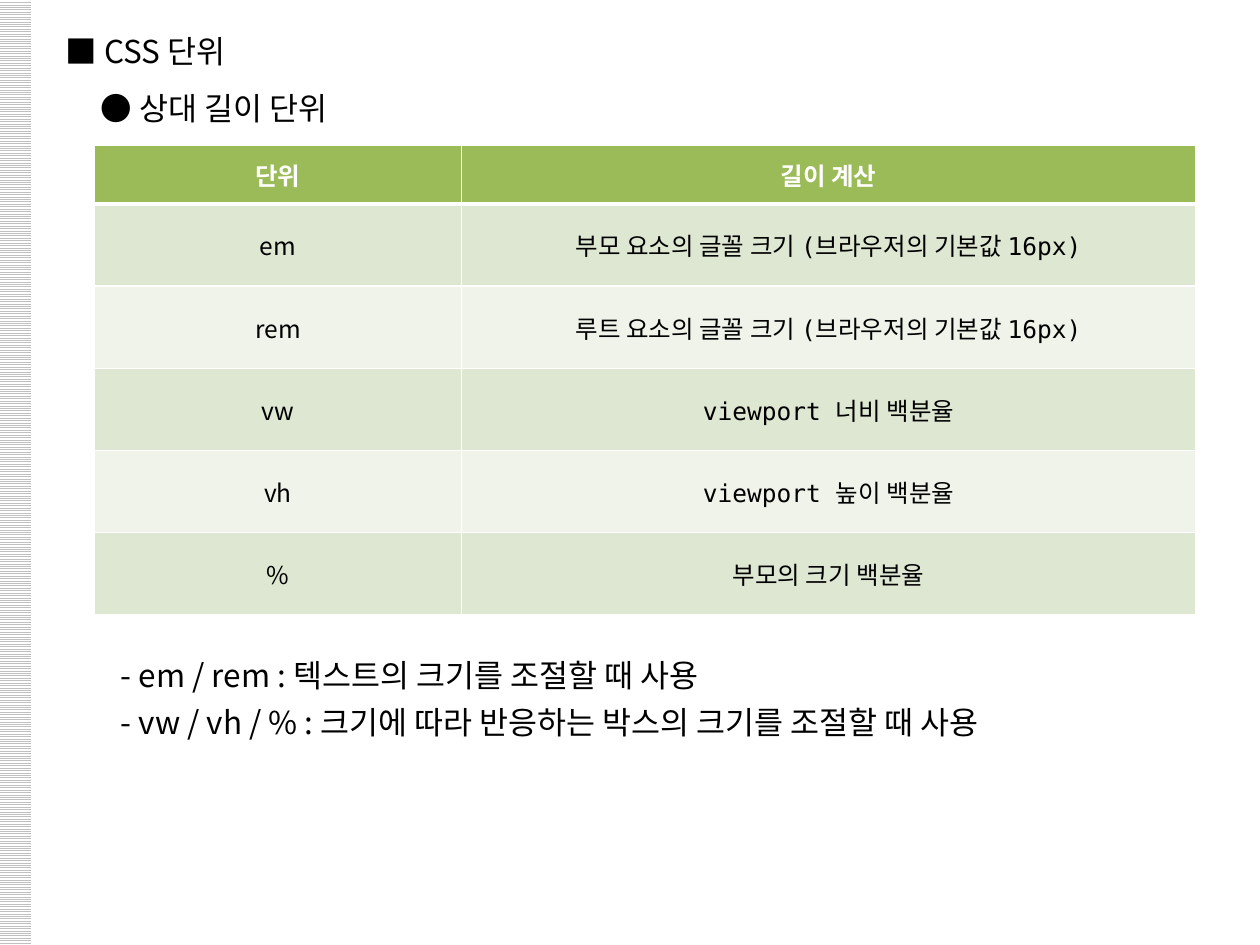
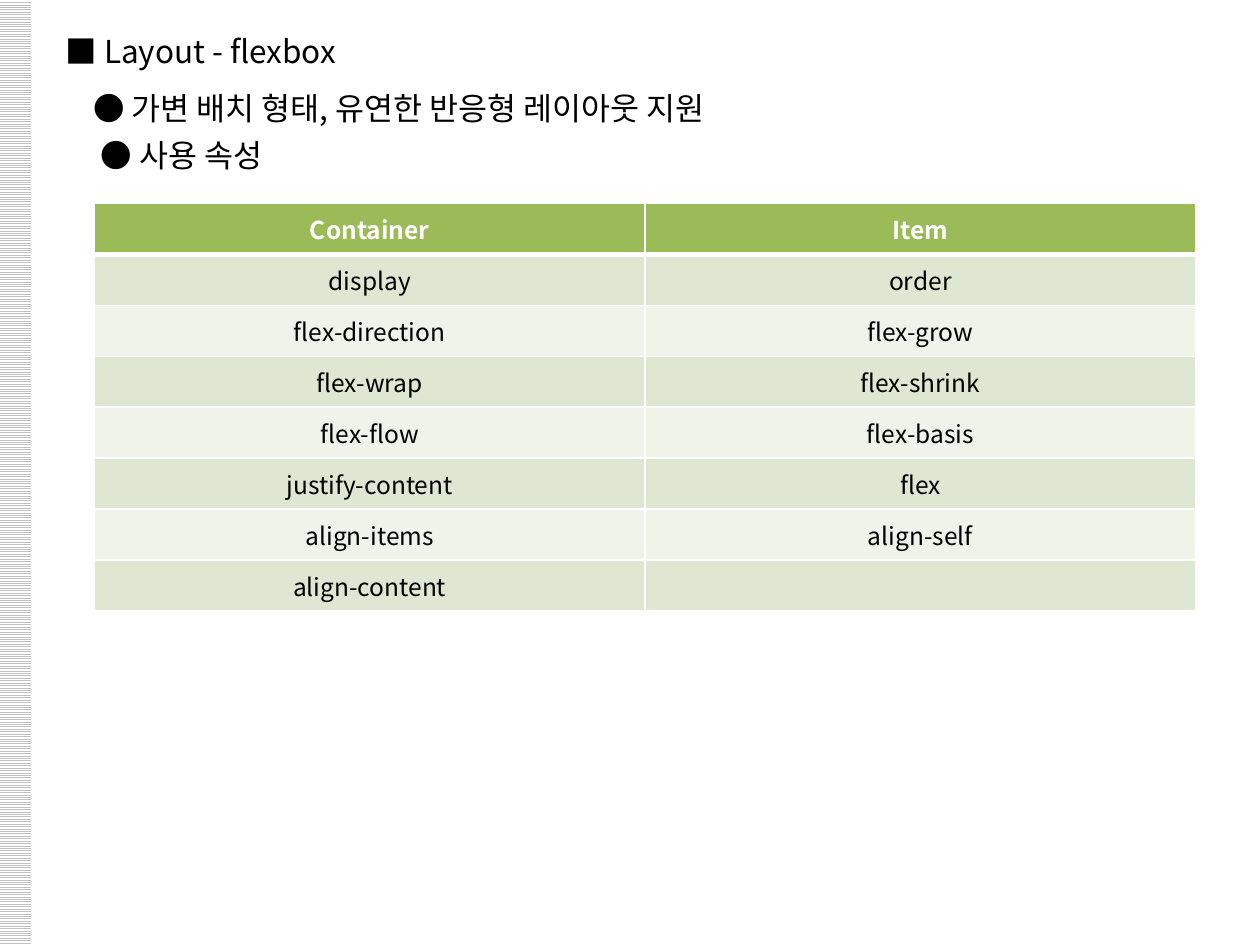
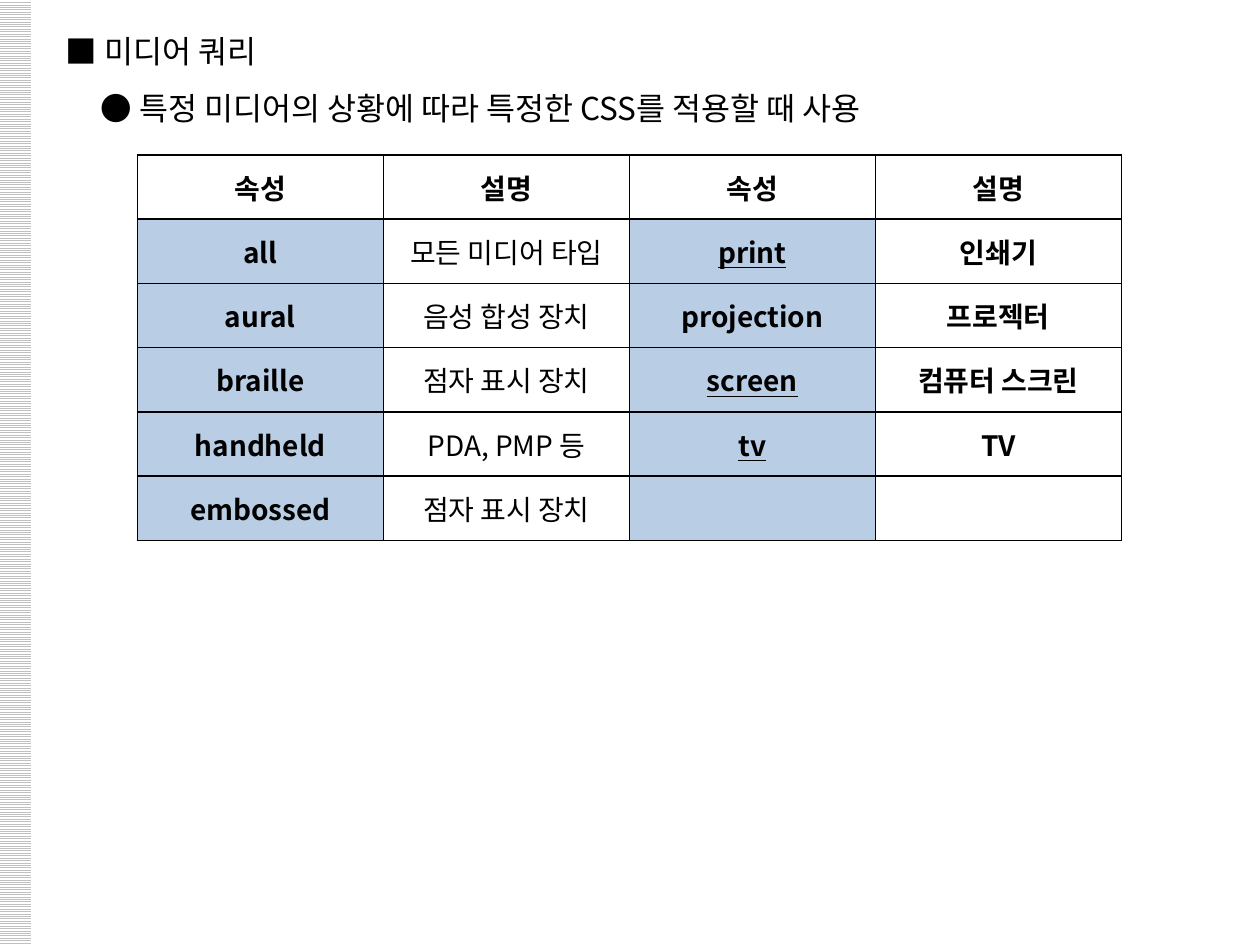
"""Build three slides on CSS units, flexbox and media queries."""
from dataclasses import dataclass
from typing import Any, Callable, Optional

from lxml.etree import SubElement
from pptx import Presentation
from pptx.dml.color import RGBColor
from pptx.enum.dml import MSO_PATTERN
from pptx.enum.shapes import MSO_SHAPE
from pptx.enum.text import MSO_ANCHOR, MSO_AUTO_SIZE, PP_ALIGN
from pptx.oxml.ns import qn
from pptx.util import Pt

PX = 9144
SANS = "Noto Sans CJK KR"
MONO = "DejaVu Sans Mono"
COLORS = {
    "white": "FFFFFF",
    "black": "000000",
    "stripe": "C0C0C0",
    "green": "9BBB59",
    "green_mid": "DEE7D1",
    "green_pale": "EFF3EA",
    "blue": "B9CDE5",
}
LEFT, TITLE_TOP, LINE_PITCH, TEXT_WIDTH = 42, 13, 45, 900
BULLET, WIDE_BULLET, DASH = 22, 28, 44
FRAME = {
    "word_wrap": False,
    "auto_size": MSO_AUTO_SIZE.NONE,
    "vertical_anchor": MSO_ANCHOR.TOP,
}
LINE = {"line_spacing": 1.25, "alignment": PP_ALIGN.LEFT}
HEADING = {"size": Pt(18), "bold": False}
UNDERLINED = {"print", "screen", "tv"}


@dataclass(frozen=True)
class Line:
    text: str
    indent: int


@dataclass(frozen=True)
class LineGroup:
    row: int
    lines: tuple[Line, ...]


@dataclass(frozen=True)
class TableStyle:
    size: int
    border: str
    header_rule: float
    fill: Callable[[int, int], Optional[str]]
    ink: Callable[[int], str]
    bold: Callable[[int, int], bool]


@dataclass(frozen=True)
class Grid:
    left: int
    top: int
    width: int
    height: int
    header: int
    weights: tuple[int, ...]
    rows: tuple[tuple[str, ...], ...]
    style: TableStyle
    mono_column: Optional[int] = None


@dataclass(frozen=True)
class Page:
    title: str
    groups: tuple[LineGroup, ...]
    grid: Grid


def banded_fill(row: int, column: int) -> str:
    return "green" if row == 0 else ("green_pale", "green_mid")[row % 2]


def checkered_fill(row: int, column: int) -> Optional[str]:
    return "blue" if row and column % 2 == 0 else None


GREEN = TableStyle(
    14, "white", 3, banded_fill,
    lambda row: "black" if row else "white",
    lambda row, column: row == 0,
)
BLUE = TableStyle(
    16, "black", 1, checkered_fill,
    lambda row: "black",
    lambda row, column: row == 0 or column != 1,
)

PAGES = (
    Page(
        "■ CSS 단위",
        (
            LineGroup(1, (Line("● 상대 길이 단위", WIDE_BULLET),)),
            LineGroup(11, (
                Line("- em / rem : 텍스트의 크기를 조절할 때 사용", DASH),
                Line("- vw / vh / % : 크기에 따라 반응하는 박스의 크기를 조절할 때 사용", DASH),
            )),
        ),
        Grid(75, 115, 874, 373, 47, (1, 2), (
            ("단위", "길이 계산"),
            ("em", "부모 요소의 글꼴 크기 (브라우저의 기본값 16px)"),
            ("rem", "루트 요소의 글꼴 크기 (브라우저의 기본값 16px)"),
            ("vw", "viewport 너비 백분율"),
            ("vh", "viewport 높이 백분율"),
            ("%", "부모의 크기 백분율"),
        ), GREEN, mono_column=1),
    ),
    Page(
        "■ Layout - flexbox",
        (LineGroup(1, (
            Line("● 가변 배치 형태, 유연한 반응형 레이아웃 지원", BULLET),
            Line("● 사용 속성", WIDE_BULLET),
        )),),
        Grid(75, 161, 874, 324, 41, (1, 1), (
            ("Container", "Item"),
            ("display", "order"),
            ("flex-direction", "flex-grow"),
            ("flex-wrap", "flex-shrink"),
            ("flex-flow", "flex-basis"),
            ("justify-content", "flex"),
            ("align-items", "align-self"),
            ("align-content", ""),
        ), GREEN),
    ),
    Page(
        "■ 미디어 쿼리",
        (LineGroup(1, (
            Line("● 특정 미디어의 상황에 따라 특정한 CSS를 적용할 때 사용", WIDE_BULLET),
        )),),
        Grid(109, 123, 781, 306, 51, (1, 1, 1, 1), (
            ("속성", "설명", "속성", "설명"),
            ("all", "모든 미디어 타입", "print", "인쇄기"),
            ("aural", "음성 합성 장치", "projection", "프로젝터"),
            ("braille", "점자 표시 장치", "screen", "컴퓨터 스크린"),
            ("handheld", "PDA, PMP 등", "tv", "TV"),
            ("embossed", "점자 표시 장치", "", ""),
        ), BLUE),
    ),
)


def rgb(color: str) -> RGBColor:
    return RGBColor.from_string(COLORS[color])


def apply(target: Any, values: dict[str, Any]) -> None:
    for name, value in values.items():
        setattr(target, name, value)


def place(shape: Any, left: int, top: int, width: int, height: int) -> None:
    apply(shape, {"left": left * PX, "top": top * PX,
                  "width": width * PX, "height": height * PX})


def write(paragraph: Any, text: str, color: str, values: dict[str, Any],
          name: str = SANS) -> None:
    run = paragraph.add_run()
    run.text = text
    apply(run.font, {"name": name, **values})
    run.font.color.rgb = rgb(color)
    SubElement(run.font._element, qn("a:ea"), typeface=SANS)


def add_band(presentation: Any, slide: Any) -> None:
    band = slide.shapes.add_shape(MSO_SHAPE.RECTANGLE, 0, 0, 0, 0)
    place(band, -1, 0, 26, 750)
    band.shadow.inherit = False
    band.line.fill.background()
    band.fill.patterned()
    band.fill.pattern = MSO_PATTERN.LIGHT_HORIZONTAL
    band.fill.fore_color.rgb = rgb("stripe")
    band.fill.back_color.rgb = rgb("white")
    band.element.nvSpPr.cNvPr.set("id", "20")
    presentation.slide_master.shapes.element.append(band.element)


def add_title(slide: Any, text: str) -> None:
    title = slide.shapes.title
    place(title, LEFT, TITLE_TOP, TEXT_WIDTH, LINE_PITCH + 10)
    apply(title.text_frame, FRAME)
    paragraph = title.text_frame.paragraphs[0]
    apply(paragraph, LINE)
    write(paragraph, text, "black", HEADING)


def add_lines(slide: Any, group: LineGroup) -> None:
    box = slide.shapes.add_textbox(0, 0, 0, 0)
    place(box, LEFT, TITLE_TOP + group.row * LINE_PITCH,
          TEXT_WIDTH, len(group.lines) * LINE_PITCH + 10)
    frame = box.text_frame
    apply(frame, FRAME)
    for index, line in enumerate(group.lines):
        paragraph = frame.add_paragraph() if index else frame.paragraphs[0]
        apply(paragraph, LINE)
        paragraph._p.get_or_add_pPr().set("marL", str(line.indent * PX))
        write(paragraph, line.text, "black", HEADING)


def set_borders(cell: Any, color: str, widths: dict[str, float]) -> None:
    properties = cell._tc.get_or_add_tcPr()
    for side, width in widths.items():
        border = SubElement(properties, qn(f"a:ln{side}"), w=str(Pt(width)))
        fill = SubElement(border, qn("a:solidFill"))
        SubElement(fill, qn("a:srgbClr"), val=COLORS[color])


def format_cell(cell: Any, grid: Grid, row: int, column: int) -> None:
    style = grid.style
    set_borders(cell, style.border, {
        "L": 1,
        "R": 1,
        "T": style.header_rule if row == 1 else 1,
        "B": style.header_rule if row == 0 else 1,
    })
    fill = style.fill(row, column)
    if fill:
        cell.fill.solid()
        cell.fill.fore_color.rgb = rgb(fill)
    else:
        cell.fill.background()
    cell.vertical_anchor = MSO_ANCHOR.MIDDLE
    paragraph = cell.text_frame.paragraphs[0]
    paragraph.alignment = PP_ALIGN.CENTER
    text = grid.rows[row][column]
    values = {"size": Pt(style.size), "bold": style.bold(row, column),
              "underline": text in UNDERLINED}
    name = MONO if row and column == grid.mono_column else SANS
    write(paragraph, text, style.ink(row), values, name)


def add_grid(slide: Any, grid: Grid) -> None:
    frame = slide.shapes.add_table(len(grid.rows), len(grid.weights), 0, 0, 0, 0)
    place(frame, grid.left, grid.top, grid.width, grid.height)
    table = frame.table
    apply(table, {"first_row": False, "horz_banding": False})
    for column, weight in zip(table.columns, grid.weights):
        column.width = grid.width * PX * weight // sum(grid.weights)
    body_height = (grid.height - grid.header) * PX // (len(grid.rows) - 1)
    for index, row in enumerate(table.rows):
        row.height = body_height if index else grid.header * PX
        for column, cell in enumerate(row.cells):
            format_cell(cell, grid, index, column)


def main() -> None:
    presentation = Presentation()
    apply(presentation, {"slide_width": 1000 * PX, "slide_height": 750 * PX})
    for index, page in enumerate(PAGES):
        slide = presentation.slides.add_slide(presentation.slide_layouts[5])
        if index == 0:
            add_band(presentation, slide)
        add_title(slide, page.title)
        for group in page.groups:
            add_lines(slide, group)
        add_grid(slide, page.grid)
    presentation.save("out.pptx")


if __name__ == "__main__":
    main()
